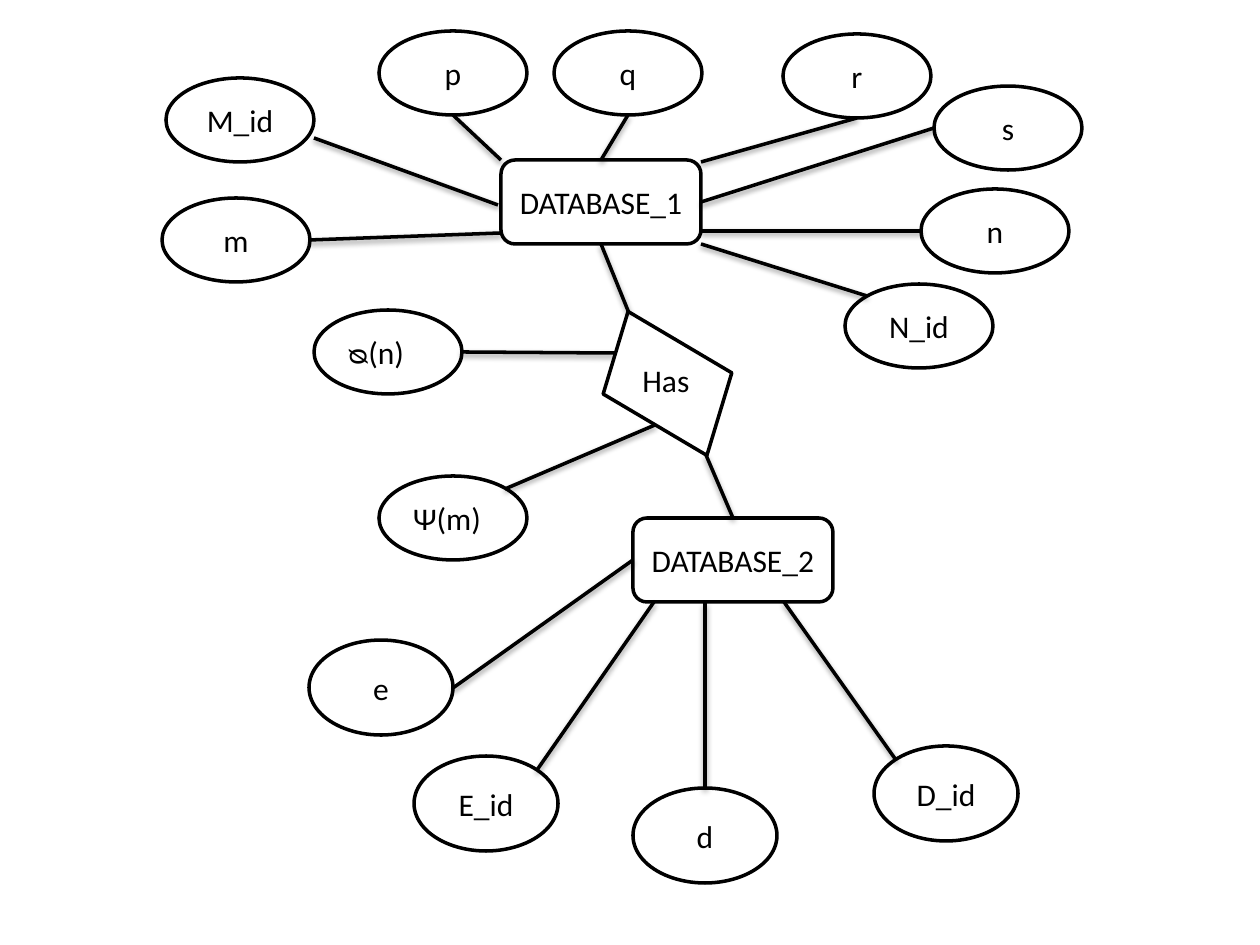
"""Build an entity-relationship diagram of two databases and their attributes."""
from lxml import etree
from pptx import Presentation
from pptx import util as u
from pptx.dml.color import RGBColor
from pptx.enum import shapes, text
from pptx.oxml.ns import qn

PX = 914400 / 126
COLOURS = {"ink": "000000", "paper": "FFFFFF"}
TOP, LEFT, BOTTOM, RIGHT = range(4)
KIND = shapes.MSO_SHAPE
ALIGN = text.PP_ALIGN

ENTITY_SIZE, ATTRIBUTE_SIZE, LOWER_SIZE = (200, 84), (148, 84), (144, 95)
ENTITIES = [("DATABASE_1", 501, 160), ("DATABASE_2", 633, 518)]
ATTRIBUTES = [
    ("q", 554, 31), ("p", 379, 31), ("r", 783, 34), ("s", 934, 86),
    ("n", 921, 189), ("N_id", 845, 284), ("m", 162, 198), ("M_id", 166, 78),
]
FUNCTIONS = [("Ψ(m)", 379, 476), ("ᴓ(n)", 314, 310)]
LOWER_ATTRIBUTES = [("e", 309, 640), ("E_id", 414, 756), ("d", 633, 788), ("D_id", 874, 746)]
RELATION = (610, 325, 115, 117)
RELATION_TURN = 106.8
RELATION_LABEL = ("Has", 630, 355, 206, 50)

ATTRIBUTE_LINKS = [
    ((453, 115), (501, 160)),
    ((314, 138), (498, 205)),
    ((309, 240), (501, 233)),
    ((461, 352), (615, 353)),
    ((505, 489), (655, 425)),
    ((628, 115), ("DATABASE_1", TOP)),
    ((857, 118), (701, 162)),
    ((934, 128), ("DATABASE_1", RIGHT)),
    ((921, 231), (701, 231)),
    ((867, 296), (701, 244)),
    ((453, 688), ("DATABASE_2", LEFT)),
    ((537, 770), (654, 602)),
    ((705, 788), (705, 603)),
    ((896, 760), (784, 602)),
]
RELATION_LINKS = [
    (("DATABASE_1", BOTTOM), (629, 313)),
    ((706, 455), ("DATABASE_2", TOP)),
]


def emu(*lengths):
    return [u.Emu(round(length * PX)) for length in lengths]


def colour(name):
    return RGBColor.from_string(COLOURS[name])


def write(frame, words, align=ALIGN.CENTER, anchor=text.MSO_ANCHOR.MIDDLE, size=18):
    frame.word_wrap = True
    frame.vertical_anchor = anchor
    paragraph = frame.paragraphs[0]
    paragraph.alignment = align
    run = paragraph.add_run()
    run.text = words
    run.font.name = "Calibri"
    run.font.size = u.Pt(size)
    run.font.color.rgb = colour("ink")


def outline(line):
    line.color.rgb = colour("ink")
    line.width = u.Pt(2)


def add_node(slide, kind, box):
    node = slide.shapes.add_shape(kind, *emu(*box))
    node.shadow.inherit = False
    node.fill.solid()
    node.fill.fore_color.rgb = colour("paper")
    outline(node.line)
    return node


def add_shadow(link):
    effects = etree.SubElement(link._element.spPr, qn("a:effectLst"))
    shadow = etree.SubElement(effects, qn("a:outerShdw"), blurRad="40000",
                              dist="20000", dir="5400000", rotWithShape="0")
    ink = etree.SubElement(shadow, qn("a:srgbClr"), val=COLOURS["ink"])
    etree.SubElement(ink, qn("a:alpha"), val="38000")


def add_link(slide, entities, start, end):
    points = [(0, 0) if place[0] in entities else place for place in (start, end)]
    link = slide.shapes.add_connector(shapes.MSO_CONNECTOR.STRAIGHT,
                                      *emu(*points[0], *points[1]))
    for place, join in ((start, link.begin_connect), (end, link.end_connect)):
        if place[0] in entities:
            join(entities[place[0]], place[1])
    outline(link.line)
    add_shadow(link)


def main():
    deck = Presentation()
    deck.slide_width, deck.slide_height = u.Inches(10), u.Inches(7.5)
    slide = deck.slides.add_slide(deck.slide_layouts[6])

    entities = {}
    for group, kind, size, align in (
        (ENTITIES, KIND.ROUNDED_RECTANGLE, ENTITY_SIZE, ALIGN.CENTER),
        (ATTRIBUTES, KIND.OVAL, ATTRIBUTE_SIZE, ALIGN.CENTER),
        (FUNCTIONS, KIND.OVAL, ATTRIBUTE_SIZE, ALIGN.LEFT),
        (LOWER_ATTRIBUTES, KIND.OVAL, LOWER_SIZE, ALIGN.CENTER),
    ):
        for label, x, y in group:
            node = add_node(slide, kind, (x, y, *size))
            write(node.text_frame, label, align=align)
            if group is ENTITIES:
                entities[label] = node

    for start, end in ATTRIBUTE_LINKS:
        add_link(slide, entities, start, end)

    add_node(slide, KIND.PARALLELOGRAM, RELATION).rotation = RELATION_TURN
    label, *box = RELATION_LABEL
    caption = slide.shapes.add_textbox(*emu(*box))
    write(caption.text_frame, label, align=ALIGN.LEFT, anchor=text.MSO_ANCHOR.TOP)
    caption.text_frame.auto_size = text.MSO_AUTO_SIZE.SHAPE_TO_FIT_TEXT

    for start, end in RELATION_LINKS:
        add_link(slide, entities, start, end)

    deck.save("out.pptx")


if __name__ == "__main__":
    main()
